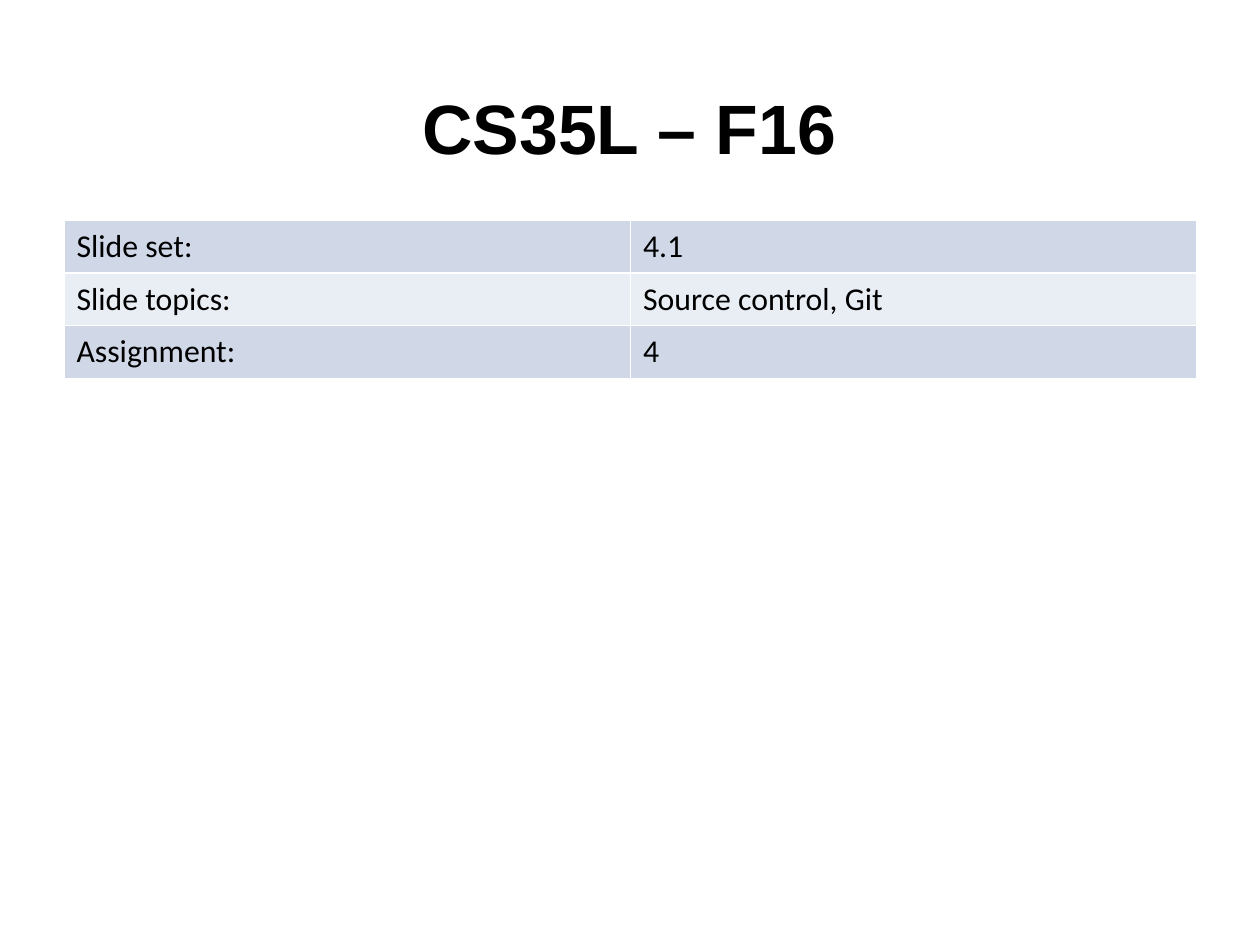
from lxml import etree
from pptx import Presentation
from pptx.dml.color import RGBColor
from pptx.enum.text import MSO_ANCHOR, PP_ALIGN
from pptx.oxml.ns import qn
from pptx.util import Inches, Pt

CENTER = PP_ALIGN.CENTER
MIDDLE = MSO_ANCHOR.MIDDLE
TITLE_ONLY = 5
COLORS = {"text": "000000", "band_dark": "D0D8E8", "band_light": "E9EDF4", "border": "FFFFFF"}

prs = Presentation()
prs.slide_width, prs.slide_height = Inches(11.03), Inches(8.26)
s = prs.slides.add_slide(prs.slide_layouts[TITLE_ONLY])

# Title
title = s.shapes.title
title.left, title.top = Inches(2.32), Inches(0.74)
title.width, title.height = Inches(6.38), Inches(0.74)
tf = title.text_frame
tf.margin_left = tf.margin_right = tf.margin_top = tf.margin_bottom = 0
tf.vertical_anchor = MIDDLE
p = tf.paragraphs[0]
p.text = "CS35L – F16"
p.alignment = CENTER
p.font.name, p.font.size, p.font.bold = "Arial", Pt(44), True
p.font.color.rgb = RGBColor.from_string(COLORS["text"])

# Course details table
details = [
    ("Slide set:", "4.1"),
    ("Slide topics:", "Source control, Git"),
    ("Assignment:", "4"),
]
row_height = 0.45
table = s.shapes.add_table(len(details), 2, Inches(0.56), Inches(1.93),
                           Inches(9.92), Inches(row_height * len(details))).table
table.first_row = False

for i, row in enumerate(details):
    band = COLORS["band_light" if i % 2 else "band_dark"]
    for j, text in enumerate(row):
        cell = table.cell(i, j)
        cell.margin_left = cell.margin_right = Inches(0.11)
        cell.margin_top = cell.margin_bottom = Inches(0.06)
        p = cell.text_frame.paragraphs[0]
        p.text = text
        p.font.name, p.font.size = "Calibri", Pt(20)
        p.font.color.rgb = RGBColor.from_string(COLORS["text"])

        # Borders come before the fill in the cell properties
        tcPr = cell._tc.get_or_add_tcPr()
        for side in ("a:lnL", "a:lnR", "a:lnT", "a:lnB"):
            ln = etree.SubElement(tcPr, qn(side), w=str(Pt(1)))
            fill = etree.SubElement(ln, qn("a:solidFill"))
            etree.SubElement(fill, qn("a:srgbClr"), val=COLORS["border"])
        cell.fill.solid()
        cell.fill.fore_color.rgb = RGBColor.from_string(band)

prs.save("out.pptx")
